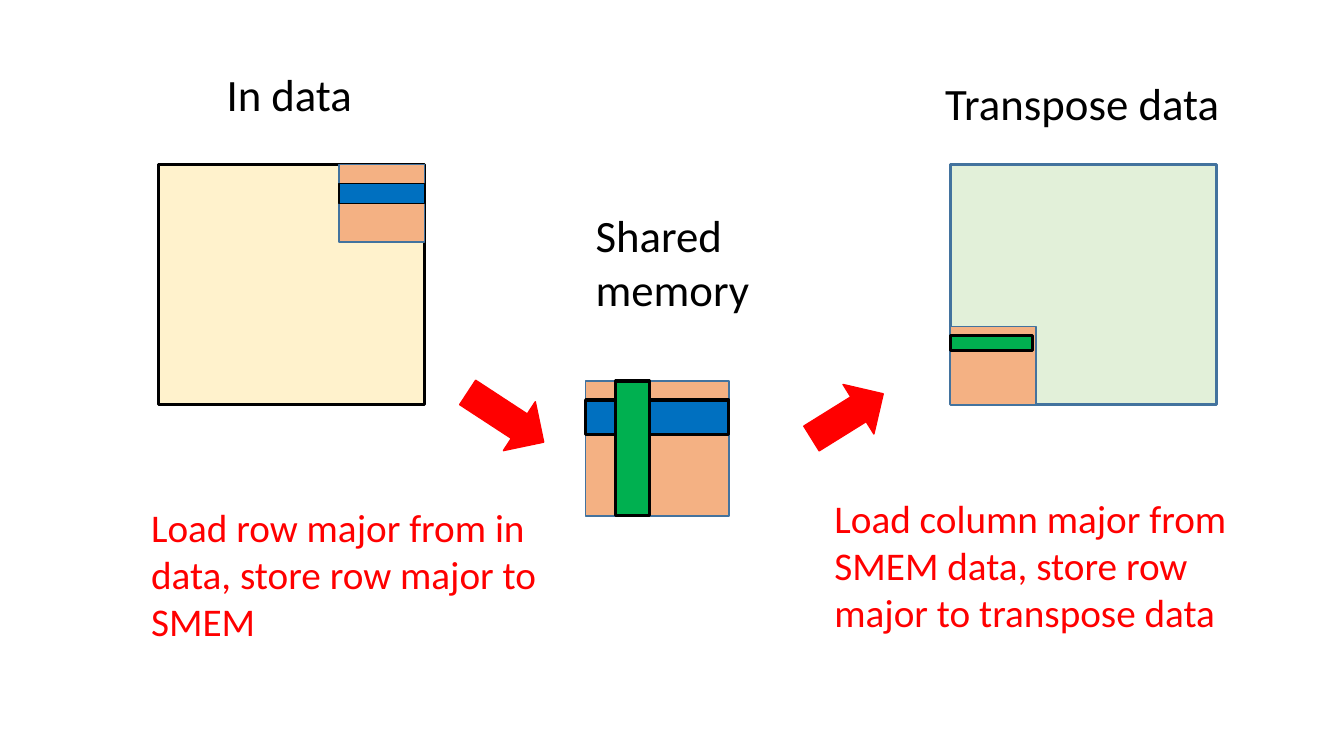
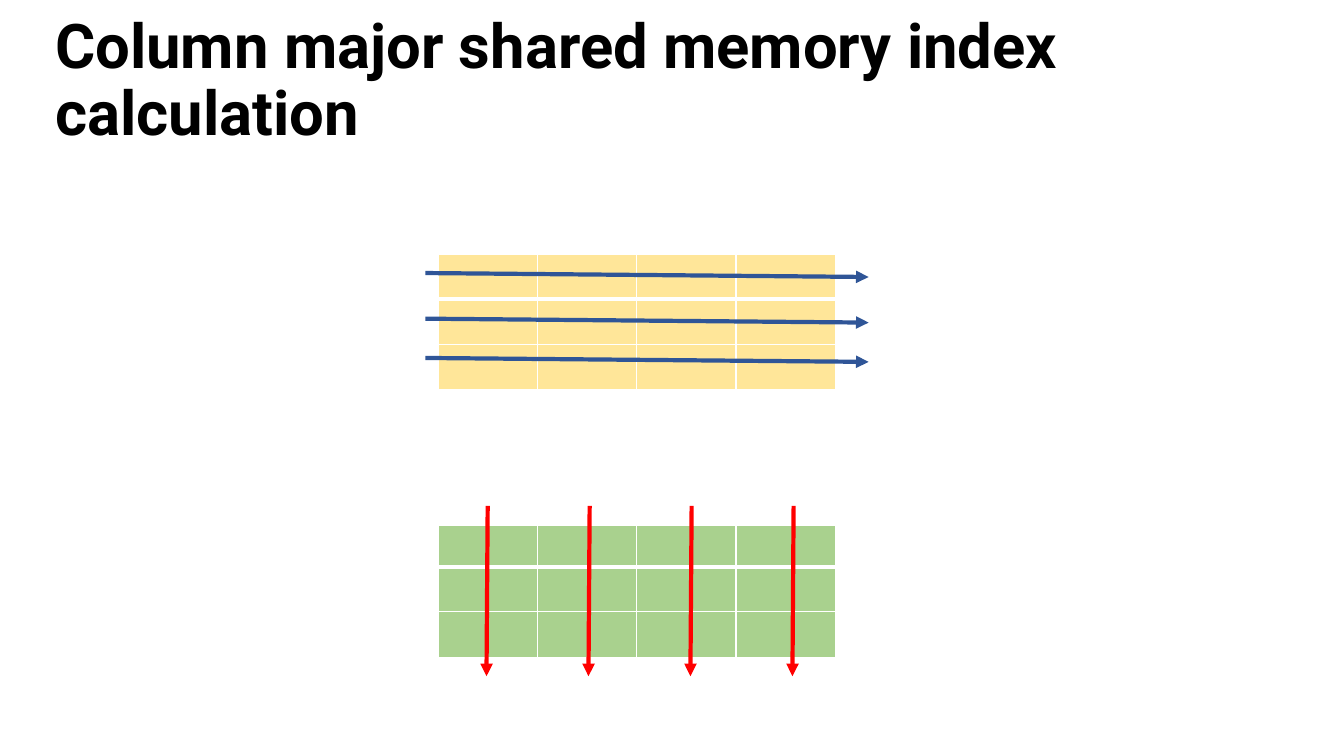
from dataclasses import dataclass
from typing import NamedTuple

from lxml.etree import SubElement
from pptx import Presentation
from pptx.dml.color import RGBColor
from pptx.enum.shapes import MSO_CONNECTOR as Link, MSO_SHAPE as Kind
from pptx.enum.text import MSO_ANCHOR as Anchor, MSO_AUTO_SIZE as Fit
from pptx.oxml.ns import qn
from pptx.slide import Slide
from pptx.util import Cm, Pt


@dataclass(frozen=True)
class Theme:
    black: str = "000000"
    white: str = "FFFFFF"
    cream: str = "FFF2CC"
    mint: str = "E2F0D9"
    peach: str = "F4B183"
    steel: str = "43739E"
    blue: str = "0070C0"
    green: str = "00B050"
    red: str = "FF0000"
    yellow: str = "FFE699"
    leaf: str = "A9D18E"
    navy: str = "2F5597"
    body: str = "Calibri"
    head: str = "Roboto"
    title: int = 44
    label: int = 32
    note: int = 28
    thin: float = 1
    thick: float = 2.25
    arrow: float = 3
    rule: float = 3


T = Theme()


# All lengths in centimetres
class Box(NamedTuple):
    x: float
    y: float
    w: float
    h: float


class Block(NamedTuple):
    box: Box
    fill: str
    line: str
    width: float = T.thin
    kind: Kind = Kind.RECTANGLE
    turn: float = 0


class Label(NamedTuple):
    box: Box
    text: str
    size: int = T.label
    color: str = T.black


class Grid(NamedTuple):
    x: float
    y: float
    col: float
    rows: tuple[float, ...]
    fill: str


class Arrow(NamedTuple):
    x: float
    y: float
    dx: float
    dy: float
    color: str


def rgb(code: str) -> RGBColor:
    return RGBColor.from_string(code)


def place(box: Box) -> tuple[Cm, ...]:
    return tuple(Cm(v) for v in box)


def draw_block(slide: Slide, b: Block) -> None:
    shape = slide.shapes.add_shape(b.kind, *place(b.box))
    shape.shadow.inherit = False
    shape.rotation = b.turn
    shape.fill.solid()
    shape.fill.fore_color.rgb = rgb(b.fill)
    shape.line.color.rgb = rgb(b.line)
    shape.line.width = Pt(b.width)


def draw_label(slide: Slide, b: Label, face: str = T.body,
               title: bool = False) -> None:
    frame = slide.shapes.add_textbox(*place(b.box)).text_frame
    frame.word_wrap = True
    frame.auto_size = Fit.NONE if title else Fit.SHAPE_TO_FIT_TEXT
    frame.text = b.text
    para = frame.paragraphs[0]
    if title:
        frame.vertical_anchor = Anchor.MIDDLE
        para.line_spacing = 0.9
    font = para.runs[0].font
    font.name, font.size, font.bold = face, Pt(b.size), title
    font.color.rgb = rgb(b.color)


def draw_title(slide: Slide, text: str) -> None:
    draw_label(slide, Label(Box(1.14, 0.23, 31.29, 3.68), text, T.title),
               T.head, True)


def draw_grid(slide: Slide, g: Grid, cols: int = 4) -> None:
    box = Box(g.x, g.y, cols * g.col, sum(g.rows))
    table = slide.shapes.add_table(len(g.rows), cols, *place(box)).table
    for col in table.columns:
        col.width = Cm(g.col)
    for r, high in enumerate(g.rows):
        table.rows[r].height = Cm(high)
        for cell in table.rows[r].cells:
            props = cell._tc.get_or_add_tcPr()
            for side in "LRTB":
                # Heavy rule between the first row and the second
                heavy = (r, side) in ((0, "B"), (1, "T"))
                width = T.rule if heavy else T.thin
                edge = SubElement(props, qn(f"a:ln{side}"), w=str(Pt(width)))
                paint = SubElement(edge, qn("a:solidFill"))
                SubElement(paint, qn("a:srgbClr"), val=T.white)
            cell.fill.solid()
            cell.fill.fore_color.rgb = rgb(g.fill)


def draw_arrow(slide: Slide, a: Arrow) -> None:
    line = slide.shapes.add_connector(
        Link.STRAIGHT, Cm(a.x), Cm(a.y), Cm(a.x + a.dx), Cm(a.y + a.dy))
    line.line.color.rgb = rgb(a.color)
    line.line.width = Pt(T.arrow)
    SubElement(line.line._get_or_add_ln(), qn("a:tailEnd"), type="triangle")
    SubElement(line._element.spPr, qn("a:effectLst"))


def flow(slide: Slide) -> None:
    # Source, target and shared memory areas
    src = Box(3.99, 4.14, 6.71, 6.05)
    dst = src._replace(x=23.95)
    mem = Box(14.76, 9.6, 3.61, 3.4)
    # Tiles sit in the top right and bottom left corners
    wide, high = 2.16, 1.96
    tile = Box(src.x + src.w - wide, src.y, wide, high)
    flip = Box(dst.x, dst.y + dst.h - high, wide, high)
    blocks = (
        Block(src, T.cream, T.black, T.thick),
        Block(dst, T.mint, T.steel, T.thick),
        Block(tile, T.peach, T.steel),
        Block(tile._replace(y=4.62, h=0.51), T.blue, T.black),
        Block(mem, T.peach, T.steel),
        Block(mem._replace(y=10.08, h=0.86), T.blue, T.black, T.thick),
        Block(mem._replace(x=15.52, w=0.84), T.green, T.black, T.thick),
        Block(flip, T.peach, T.steel),
        Block(Box(dst.x, 8.46, 2.08, 0.38), T.green, T.black, T.thick),
        Block(Box(12.01, 9.37, 1.47, 2.29), T.red, T.red,
              kind=Kind.DOWN_ARROW, turn=303.2),
        Block(Box(20.62, 9.42, 1.47, 2.13), T.red, T.red,
              kind=Kind.DOWN_ARROW, turn=238.1),
    )
    for block in blocks:
        draw_block(slide, block)

    # Headings and notes
    labels = (
        Label(Box(5.46, 1.55, 4.6, 1.63), "In data"),
        Label(Box(23.57, 1.78, 8.26, 1.63), "Transpose data"),
        Label(Box(mem.x, 5.11, 5.08, 3), "Shared memory"),
        Label(Box(3.56, 12.55, 11.05, 3.84),
              "Load row major from in data, store row major to SMEM",
              T.note, T.red),
        Label(Box(20.78, 12.34, 11.05, 3.84),
              "Load column major from SMEM data, "
              "store row major to transpose data", T.note, T.red),
    )
    for label in labels:
        draw_label(slide, label)


def index(slide: Slide) -> None:
    draw_title(slide, "Column major shared memory index calculation")
    left, col, row = 11.05, 2.5, 1.14

    # Row order
    draw_grid(slide, Grid(left, 6.4, col, (row,) * 3, T.yellow))
    for y in (6.88, 8.03, 9.02):
        draw_arrow(slide, Arrow(10.72, y, 11.17, 0.1, T.navy))

    # Column order
    draw_grid(slide, Grid(left, 13.23, col, (1.05, row, row), T.leaf))
    for i in range(4):
        draw_arrow(slide, Arrow(12.29 + 2.57 * i, 12.75, -0.03, 4.29, T.red))


def main() -> None:
    deck = Presentation()
    deck.slide_width, deck.slide_height = Cm(33.87), Cm(19.05)
    blank = deck.slide_layouts[6]
    for draw in (flow, index):
        draw(deck.slides.add_slide(blank))
    deck.save("out.pptx")


if __name__ == "__main__":
    main()
